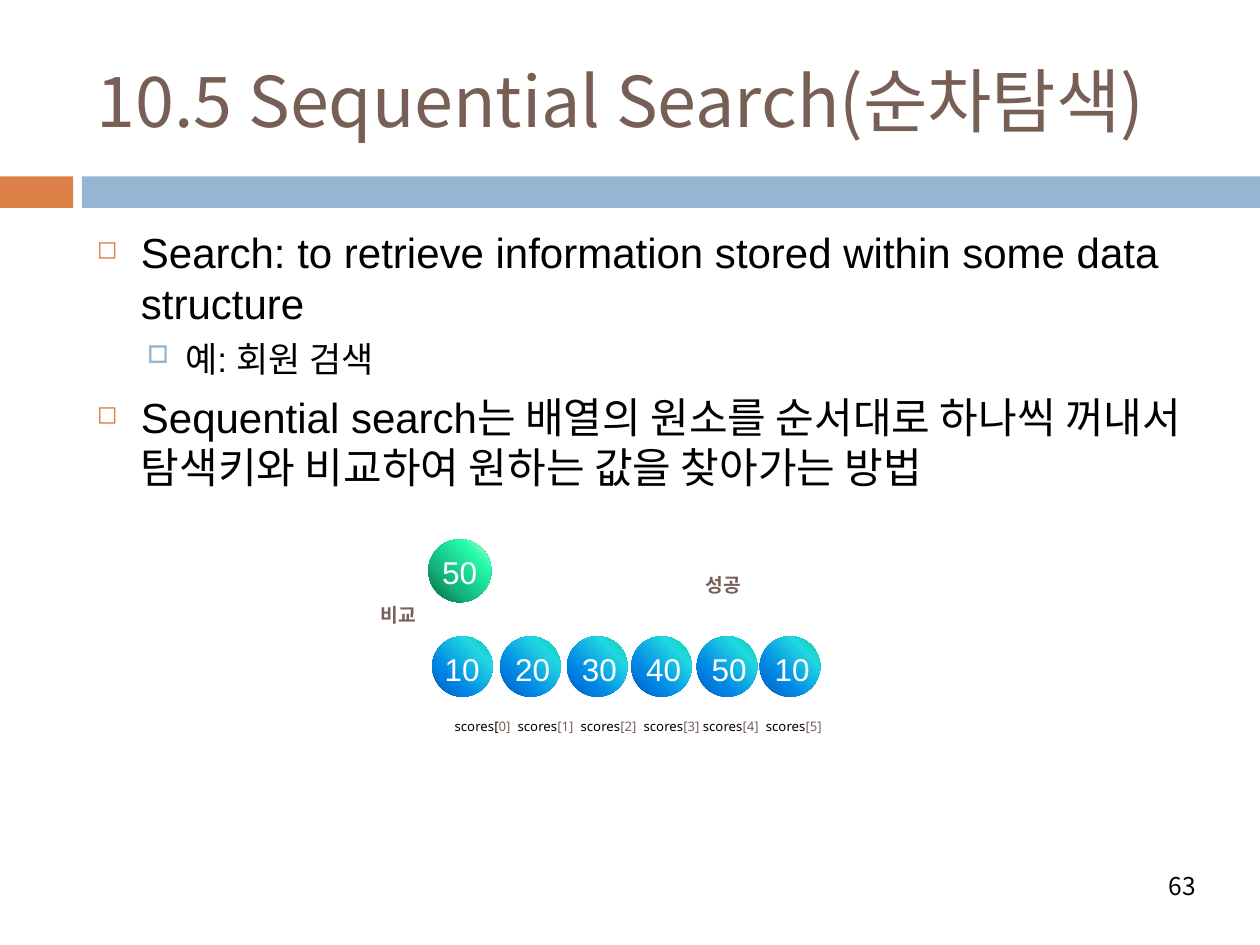
from dataclasses import dataclass

from lxml.etree import SubElement
from pptx import Presentation
from pptx.dml.color import RGBColor
from pptx.enum.shapes import MSO_SHAPE
from pptx.enum.text import MSO_ANCHOR, PP_ALIGN
from pptx.oxml import parse_xml
from pptx.oxml.ns import nsdecls, qn
from pptx.util import Inches, Pt


@dataclass(frozen=True)
class Theme:
    brown: str = "775F55"
    orange: str = "DD8047"
    blue: str = "94B6D2"
    black: str = "000000"
    white: str = "FFFFFF"
    ball: tuple = ((0, "03D4A8"), (25, "21D6E0"), (68, "0087E6"), (100, "005CBF"))
    key: tuple = ((0, "CCFFCC"), (25, "25FBA9"), (68, "12B280"), (100, "00642D"))
    latin: str = "Arial"
    label: str = "Noto Sans"
    korean: str = "Noto Sans CJK KR"
    title_size: float = 40
    body_size: float = 24
    sub_size: float = 20
    ball_size: float = 18
    page_size: float = 14
    note_size: float = 11
    index_size: float = 7.5


theme = Theme()


def style(span, size, color, face=theme.korean, bold=False):
    font = span.font
    font.size, font.bold, font.name = Pt(size), bold, face
    font.color.rgb = RGBColor.from_string(color)
    SubElement(span._r.get_or_add_rPr(), qn("a:ea"), typeface=theme.korean)


def add_text(shapes, place, text, size, color, face=theme.korean, bold=False, wrap=True):
    box = shapes.add_textbox(*map(Inches, place))
    frame = box.text_frame
    frame.word_wrap = wrap
    frame.text = text
    for para in frame.paragraphs:
        for span in para.runs:
            style(span, size, color, face, bold)
    return frame


deck = Presentation()
deck.slide_width, deck.slide_height = Inches(10), Inches(7.5)
page = deck.slides.add_slide(deck.slide_layouts[6])

# Divider bars
for left, width, color in ((0, 0.58, theme.orange), (0.65, 9.35, theme.blue)):
    bar = page.shapes.add_shape(
        MSO_SHAPE.RECTANGLE, Inches(left), Inches(1.4), Inches(width), Inches(0.25))
    bar.shadow.inherit = False
    bar.fill.solid()
    bar.fill.fore_color.rgb = RGBColor.from_string(color)
    bar.line.fill.background()

# Title
title = add_text(page.shapes, (0.67, 0.25, 8.92, 1.08), "10.5 Sequential Search(순차탐색)",
                 theme.title_size, theme.brown)
title.vertical_anchor = MSO_ANCHOR.MIDDLE

# Bulleted body: text, level, indent, hang, space before, bullet, its colour and percent, size
main_level = (0, 0.35, 0.35, 7, "◻", theme.orange, 60, theme.body_size)
sub_level = (1, 0.7, 0.3, 5.5, "□", theme.blue, 70, theme.sub_size)
points = (
    ("Search: to retrieve information stored within some data structure", main_level),
    ("예: 회원 검색", sub_level),
    ("Sequential search는 배열의 원소를 순서대로 하나씩 꺼내서 탐색키와 비교하여 "
     "원하는 값을 찾아가는 방법", main_level),
)
body = add_text(page.shapes, (0.67, 1.75, 8.92, 4.92), "\n".join(text for text, _ in points),
                theme.body_size, theme.black, theme.latin)
for number, (para, (_, look)) in enumerate(zip(body.paragraphs, points)):
    level, indent, hang, before, mark, color, percent, size = look
    para.level = level
    props = para._p.get_or_add_pPr()
    props.set("marL", str(Inches(indent)))
    props.set("indent", str(-Inches(hang)))
    SubElement(SubElement(props, qn("a:buClr")), qn("a:srgbClr"), val=color)
    SubElement(props, qn("a:buSzPct"), val=str(percent * 1000))
    SubElement(props, qn("a:buChar"), char=mark)
    para.space_before = Pt(before if number else 0)
    for span in para.runs:
        span.font.size = Pt(size)

# Array elements and the search key: number, left, top, diameter, text left, gradient
lefts = (3.43, 3.97, 4.5, 5.01, 5.53, 6.03)
values = (10, 20, 30, 40, 50, 10)
balls = [(value, left, 5.05, 0.48, left + (0.02 if left > lefts[0] else 0), theme.ball)
         for value, left in zip(values, lefts)]
balls.append((50, 3.4, 4.28, 0.5, 3.41, theme.key))
for value, left, top, size, text_left, stops in balls:
    group = page.shapes.add_group_shape()
    ball = group.shapes.add_shape(
        MSO_SHAPE.OVAL, Inches(left), Inches(top), Inches(size), Inches(size))
    ball.shadow.inherit = False
    ball.line.fill.background()
    stop_xml = "".join(f'<a:gs pos="{pos * 1000}"><a:srgbClr val="{color}"/></a:gs>'
                       for pos, color in stops)
    ball._element.spPr.find(qn("a:prstGeom")).addnext(parse_xml(
        f'<a:gradFill {nsdecls("a")} rotWithShape="1"><a:gsLst>{stop_xml}</a:gsLst>'
        '<a:path path="circle"><a:fillToRect l="100000" b="100000"/></a:path></a:gradFill>'))
    add_text(group.shapes, (text_left, top + 0.06, 0.48, 0.4), str(value),
             theme.ball_size, theme.white, theme.latin, wrap=False)

# Notes beside the search
for place, text in (((2.92, 4.74, 0.51, 0.29), "비교"), ((5.5, 4.5, 0.52, 0.28), "성공")):
    add_text(page.shapes, place, text, theme.note_size, theme.brown, bold=True, wrap=False)

# Array index labels on tab stops
labels = add_text(page.shapes, (3.51, 5.65, 3.33, 0.23), "", theme.index_size, theme.black)
para = labels.paragraphs[0]
tabs = SubElement(para._p.get_or_add_pPr(), qn("a:tabLst"))
for stop in (0.5, 1, 1.5, 1.97, 2.47):
    SubElement(tabs, qn("a:tab"), pos=str(Inches(stop)), algn="l")
for index in range(len(values)):
    name, number = ("scores[", f"{index}]") if index == 0 else ("\tscores", f"[{index}]")
    for text, color in ((name, theme.black), (number, theme.brown)):
        span = para.add_run()
        span.text = text
        style(span, theme.index_size, color, theme.label)

# Page number
footer = add_text(page.shapes, (6.81, 6.83, 2.78, 0.4), "63", theme.page_size, theme.black)
footer.vertical_anchor = MSO_ANCHOR.MIDDLE
footer.paragraphs[0].alignment = PP_ALIGN.RIGHT

deck.save("out.pptx")
